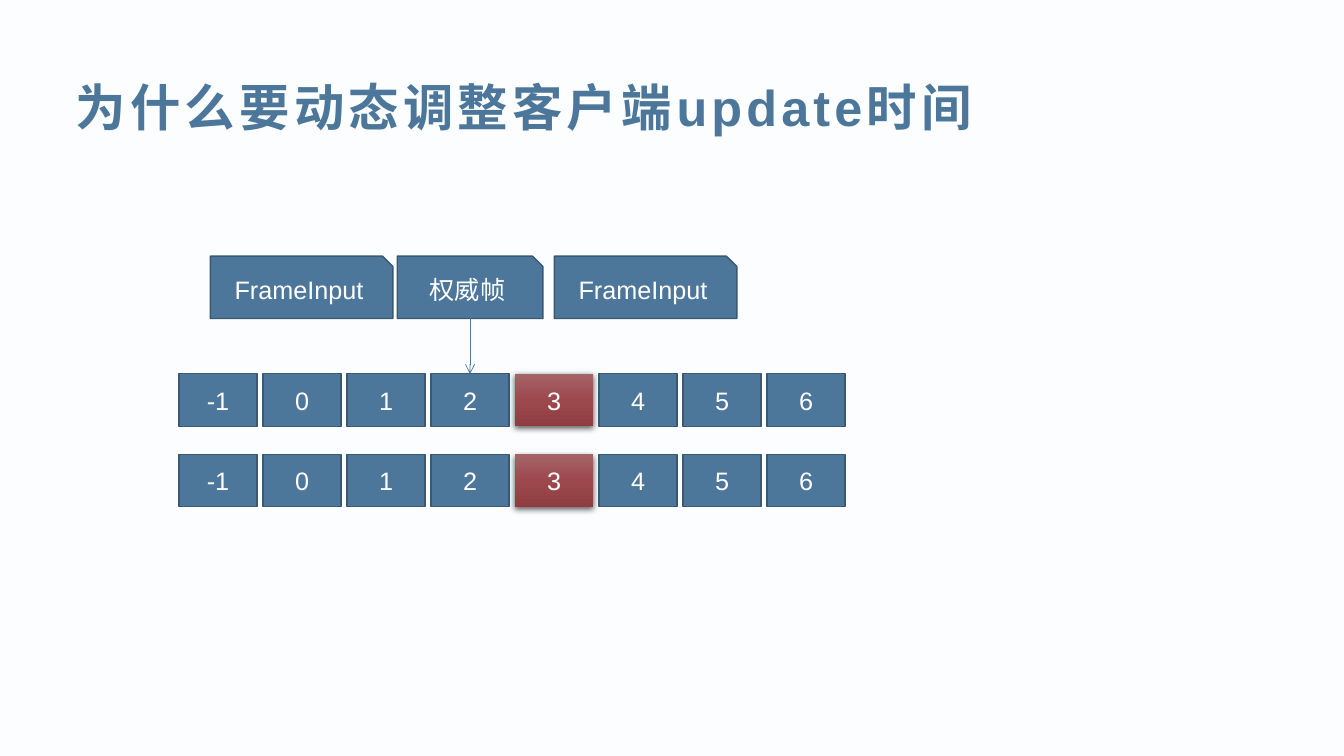
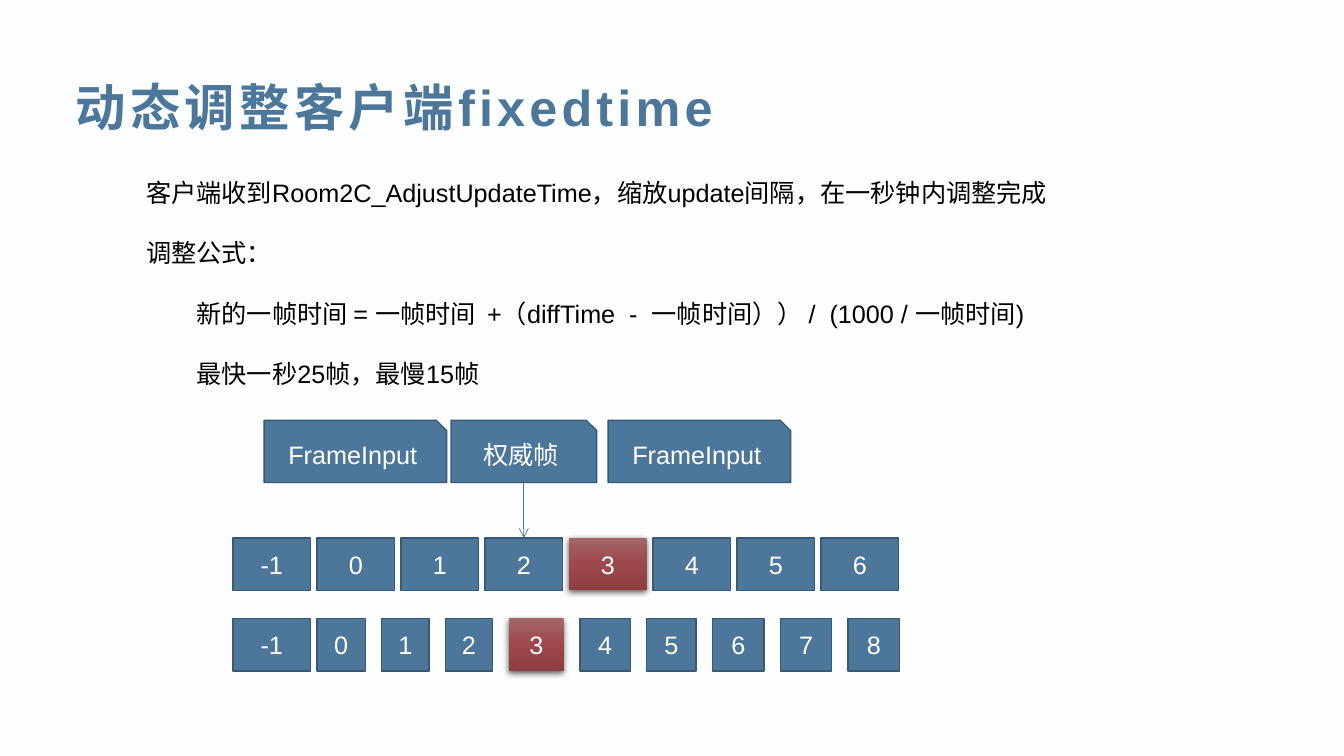
from copy import deepcopy

from lxml.etree import SubElement
from pptx import Presentation
from pptx.dml.color import RGBColor
from pptx.enum.shapes import MSO_CONNECTOR, MSO_SHAPE
from pptx.enum.text import MSO_ANCHOR as ANCHOR, MSO_AUTO_SIZE as AUTO_SIZE, PP_ALIGN as ALIGN
from pptx.oxml.ns import qn
from pptx.util import Pt

FONT = "Arial"
BACKGROUND, BLUE, DARK_BLUE = "FBFDFE", "4D779A", "395872"
WHITE, BLACK = "FFFFFF", "000000"
RED_STOPS = [(0, "A56568"), (0.5, "9D484D"), (1, "8F3D41")]

TITLE_ONLY, TITLE_AND_BODY = 5, 1
MARKED_FRAME = "3"
FRAME_WIDTH, FRAME_HEIGHT, FRAME_GAP = 55.5, 37.5, 4.5
FRAME_PITCH = FRAME_WIDTH + FRAME_GAP
PACKET_HEIGHT = 44.5
FIRST_ROW, SECOND_ROW = 84, 141.5
PACKETS = [("FrameInput", 22.3, 130.3), ("权威帧", 155.75, 104), ("FrameInput", 268, 130.3)]
FRAMES = ["-1", "0", "1", "2", "3", "4", "5", "6"]
SCALED_FRAMES = ["0", "1", "2", "3", "4", "5", "6", "7", "8"]
SCALED_WIDTHS = [34.5, 33.8, 33.8, 39, 36, 35.3, 36.7, 36.7, 36.7]
SCALED_GAP = 11.7

EXPLANATION = [
    ("客户端收到Room2C_AdjustUpdateTime，缩放update间隔，在一秒钟内调整完成", 0),
    ("调整公式：", 0),
    ("新的一帧时间 = 一帧时间  +（diffTime  -  一帧时间）） /  (1000 / 一帧时间)", 36),
    ("最快一秒25帧，最慢15帧", 36),
]


def rgb(colour):
    return RGBColor.from_string(colour)


def place(shape, left, top, width, height):
    shape.left, shape.top = Pt(left), Pt(top)
    shape.width, shape.height = Pt(width), Pt(height)


def add_run(paragraph, text, colour, size=18):
    run = paragraph.add_run()
    run.text = text
    run.font.name = FONT
    run.font.size = Pt(size)
    run.font.color.rgb = rgb(colour)
    return run


def add_slide(prs, layout, heading):
    slide = prs.slides.add_slide(prs.slide_layouts[layout])
    title = slide.shapes.title
    place(title, 47, 48.2, 884, 55.5)
    title.text_frame.auto_size = AUTO_SIZE.NONE
    title.text_frame.vertical_anchor = ANCHOR.MIDDLE
    paragraph = title.text_frame.paragraphs[0]
    paragraph.alignment = ALIGN.LEFT
    run = add_run(paragraph, heading, BLUE, 36)
    run.font.bold = True
    run.font._element.set("spc", "300")
    return slide


def fill_body(slide, lines):
    body = slide.placeholders[1]
    place(body, 97.2, 123, 729.5, 382.5)
    frame = body.text_frame
    frame.auto_size = AUTO_SIZE.NONE
    for index, (text, indent) in enumerate(lines):
        paragraph = frame.add_paragraph() if index else frame.paragraphs[0]
        paragraph.space_before = Pt(0)
        paragraph.space_after = Pt(21.5)
        properties = paragraph._p.get_or_add_pPr()
        properties.set("marL", str(Pt(indent)))
        properties.set("indent", "0")
        SubElement(properties, qn("a:buNone"))
        add_run(paragraph, text, BLACK)


def add_box(shapes, preset, text, left, top, width, height):
    box = shapes.add_shape(preset, Pt(left), Pt(top), Pt(width), Pt(height))
    box.shadow.inherit = False
    box.fill.solid()
    box.fill.fore_color.rgb = rgb(BLUE)
    box.line.color.rgb = rgb(DARK_BLUE)
    box.line.width = Pt(1)
    box.text_frame.vertical_anchor = ANCHOR.MIDDLE
    paragraph = box.text_frame.paragraphs[0]
    paragraph.alignment = ALIGN.CENTER
    add_run(paragraph, text, WHITE)
    return box


def mark(box):
    box.line.fill.background()
    box.fill.gradient()
    box.fill.gradient_angle = 270
    properties = box.element.spPr
    stops = properties.find(qn("a:gradFill")).find(qn("a:gsLst"))
    while len(stops) < len(RED_STOPS):
        stops.append(deepcopy(stops[0]))
    for stop, (position, colour) in zip(box.fill.gradient_stops, RED_STOPS):
        stop.position = position
        stop.color.rgb = rgb(colour)
    shadow = SubElement(properties.find(qn("a:effectLst")), qn("a:outerShdw"),
                        blurRad=str(Pt(4.5)), dist=str(Pt(1.5)), dir="5400000", rotWithShape="0")
    tint = SubElement(shadow, qn("a:srgbClr"), val=BLACK)
    SubElement(tint, qn("a:alpha"), val="63000")


def add_frames(shapes, labels, widths, gap, left, top):
    frames = []
    for label, width in zip(labels, widths):
        frame = add_box(shapes, MSO_SHAPE.RECTANGLE, label, left, top, width, FRAME_HEIGHT)
        if label == MARKED_FRAME:
            mark(frame)
        frames.append(frame)
        left += width + gap
    return frames


def add_even_row(slide, left, top):
    group = slide.shapes.add_group_shape()
    return add_frames(group.shapes, FRAMES, [FRAME_WIDTH] * len(FRAMES), FRAME_GAP, left, top)


def add_scaled_row(slide, left, top):
    shapes = slide.shapes.add_group_shape().shapes
    add_frames(shapes, FRAMES[:1], [FRAME_WIDTH], FRAME_GAP, left, top)
    add_frames(shapes, SCALED_FRAMES, SCALED_WIDTHS, SCALED_GAP, left + FRAME_PITCH, top)


def add_arrow(slide, source, target):
    arrow = slide.shapes.add_connector(MSO_CONNECTOR.STRAIGHT, 0, 0, 0, 0)
    arrow.begin_connect(source, 2)
    arrow.end_connect(target, 0)
    arrow.line.color.rgb = rgb(BLUE)
    arrow.line.width = Pt(0.5)
    properties = arrow.element.spPr
    SubElement(properties.find(qn("a:ln")), qn("a:tailEnd"), type="arrow")
    SubElement(properties, qn("a:effectLst"))


def add_timeline(slide, left, top, add_second_row):
    packets = [
        add_box(slide.shapes, MSO_SHAPE.SNIP_1_RECTANGLE, text, left + offset, top, width, PACKET_HEIGHT)
        for text, offset, width in PACKETS
    ]
    frames = add_even_row(slide, left, top + FIRST_ROW)
    add_second_row(slide, left, top + SECOND_ROW)
    add_arrow(slide, packets[1], frames[FRAMES.index("2")])


def main():
    prs = Presentation()
    prs.slide_width, prs.slide_height = Pt(960), Pt(540)
    backdrop = prs.slide_master.background.fill
    backdrop.solid()
    backdrop.fore_color.rgb = rgb(BACKGROUND)

    reason = add_slide(prs, TITLE_ONLY, "为什么要动态调整客户端update时间")
    add_timeline(reason, 128, 183, add_even_row)

    adjustment = add_slide(prs, TITLE_AND_BODY, "动态调整客户端fixedtime")
    fill_body(adjustment, EXPLANATION)
    add_timeline(adjustment, 166.4, 300.2, add_scaled_row)

    prs.save("out.pptx")


if __name__ == "__main__":
    main()
